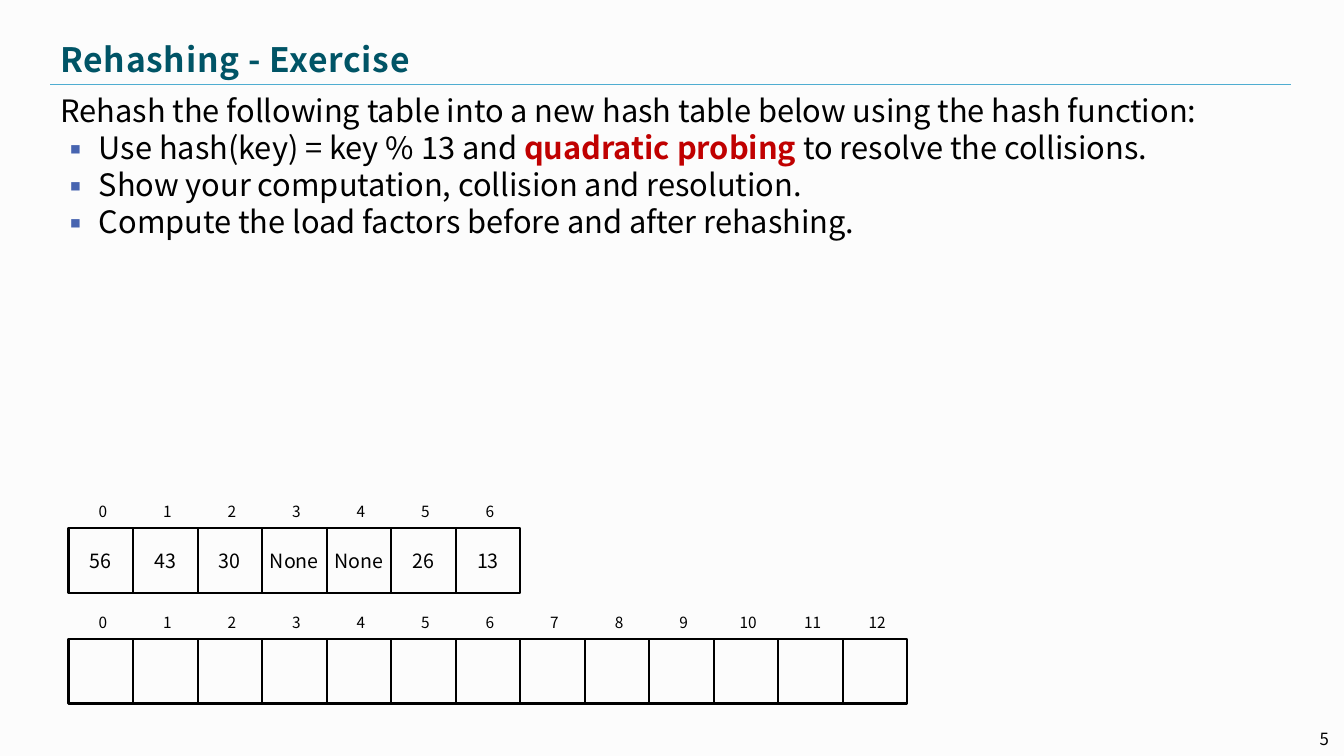
"""Build the rehashing exercise slide with its two hash tables."""
from dataclasses import dataclass

from lxml import etree
from pptx import Presentation
from pptx.dml.color import RGBColor
from pptx.enum.shapes import MSO_CONNECTOR, MSO_SHAPE
from pptx.enum.text import MSO_ANCHOR, MSO_AUTO_SIZE, PP_ALIGN
from pptx.oxml.ns import qn
from pptx.util import Emu, Pt

LEFT, CENTER, RIGHT = PP_ALIGN.LEFT, PP_ALIGN.CENTER, PP_ALIGN.RIGHT
TOP, MIDDLE = MSO_ANCHOR.TOP, MSO_ANCHOR.MIDDLE
NO_FIT = MSO_AUTO_SIZE.NONE
RECTANGLE, STRAIGHT = MSO_SHAPE.RECTANGLE, MSO_CONNECTOR.STRAIGHT
EMU_PER_PX = 9144


def px(length):
    return Emu(length * EMU_PER_PX)


@dataclass(frozen=True)
class Theme:
    font: str = "Noto Sans CJK KR"
    paper: str = "FCFCFC"
    ink: str = "000000"
    heading: str = "005466"
    rule: str = "4FADD1"
    bullet: str = "4764B0"
    accent: str = "C00000"
    title_size: int = 24
    body_size: int = 22
    value_size: int = 14
    number_size: int = 12
    index_size: int = 11


class ExerciseSlide:
    def __init__(self, slide, theme):
        self.slide, self.theme = slide, theme
        background = slide.background.fill
        background.solid()
        background.fore_color.rgb = RGBColor.from_string(theme.paper)

    def place(self, shape, left, top, width, height):
        bounds = {"left": left, "top": top, "width": width, "height": height}
        for name, length in bounds.items():
            setattr(shape, name, px(length))

    def frame(self, shape, anchor, inset=None):
        text = shape.text_frame
        settings = {"word_wrap": True, "auto_size": NO_FIT, "vertical_anchor": anchor}
        if inset is not None:
            for side in ("left", "top", "right", "bottom"):
                settings[f"margin_{side}"] = px(inset)
        for name, value in settings.items():
            setattr(text, name, value)
        return text

    def add_words(self, paragraph, words, size, color=None, bold=False, align=LEFT):
        paragraph.alignment = align
        run = paragraph.add_run()
        run.text = words
        settings = {"name": self.theme.font, "size": Pt(size), "bold": bold}
        for name, value in settings.items():
            setattr(run.font, name, value)
        run.font.color.rgb = RGBColor.from_string(color or self.theme.ink)
        return run

    def title(self, words, *bounds):
        heading = self.slide.shapes.title
        self.place(heading, *bounds)
        paragraph = self.frame(heading, MIDDLE).paragraphs[0]
        run = self.add_words(paragraph, words, self.theme.title_size, self.theme.heading, True)
        run._r.get_or_add_rPr().set("spc", "50")

    def rule(self, left, right, y):
        underline = self.slide.shapes.add_connector(STRAIGHT, px(left), px(y), px(right), px(y))
        underline.line.color.rgb = RGBColor.from_string(self.theme.rule)
        underline.line.width = Pt(0.25)
        etree.SubElement(underline._element.spPr, qn("a:effectLst"))

    def bullet(self, paragraph, indent):
        properties = paragraph._p.get_or_add_pPr()
        properties.set("marL", str(px(indent)))
        properties.set("indent", str(-px(indent)))
        if not indent:
            etree.SubElement(properties, qn("a:buNone"))
            return
        color = etree.SubElement(properties, qn("a:buClr"))
        etree.SubElement(color, qn("a:srgbClr"), val=self.theme.bullet)
        etree.SubElement(properties, qn("a:buFont"), typeface=self.theme.font)
        etree.SubElement(properties, qn("a:buChar"), char="▪")

    def body(self, lines, *bounds):
        task = self.slide.placeholders[1]
        self.place(task, *bounds)
        text = self.frame(task, TOP)
        for position, parts in enumerate(lines):
            paragraph = text.add_paragraph() if position else text.paragraphs[0]
            paragraph.line_spacing = 0.85
            paragraph.space_before = Pt(4)
            self.bullet(paragraph, 38 if position else 0)
            for words, emphasis in parts:
                color = self.theme.accent if emphasis else self.theme.ink
                self.add_words(paragraph, words, self.theme.body_size, color, emphasis)

    def label(self, shapes, words, size, align, inset, *bounds):
        caption = shapes.add_textbox(*map(px, bounds))
        paragraph = self.frame(caption, MIDDLE, inset).paragraphs[0]
        self.add_words(paragraph, words, size, align=align)

    def cell(self, shapes, value, *bounds):
        slot = shapes.add_shape(RECTANGLE, *map(px, bounds))
        slot.shadow.inherit = False
        slot.fill.background()
        slot.line.color.rgb = RGBColor.from_string(self.theme.ink)
        slot.line.width = Pt(1.5)
        if value:
            paragraph = self.frame(slot, MIDDLE, 4).paragraphs[0]
            self.add_words(paragraph, value, self.theme.value_size, align=CENTER)

    def hash_table(self, values, left, top, side=64):
        shapes = self.slide.shapes.add_group_shape().shapes
        for index, value in enumerate(values):
            x = left + index * side
            self.cell(shapes, value, x, top, side, side)
            self.label(shapes, str(index), self.theme.index_size, CENTER, 4,
                       x + 2, top - 31, side, 28)


def main():
    deck = Presentation()
    deck.slide_width, deck.slide_height = px(1333), px(750)
    theme = Theme()
    exercise = ExerciseSlide(deck.slides.add_slide(deck.slide_layouts[1]), theme)
    exercise.rule(50, 1280, 84)
    exercise.title("Rehashing - Exercise", 50, 34, 1230, 50)
    exercise.body([
        [("Rehash the following table into a new hash table below using the hash function:", False)],
        [("Use hash(key) = key % 13 and ", False), ("quadratic probing ", True),
         ("to resolve the collisions.", False)],
        [("Show your computation, collision and resolution.", False)],
        [("Compute the load factors before and after rehashing.", False)],
    ], 50, 92, 1231, 619)
    exercise.label(exercise.slide.shapes, "5", theme.number_size, RIGHT, 10, 1211, 713, 117, 40)
    exercise.hash_table(["56", "43", "30", "None", "None", "26", "13"], 68, 524)
    exercise.hash_table([""] * 13, 68, 634)
    deck.save("out.pptx")


if __name__ == "__main__":
    main()
